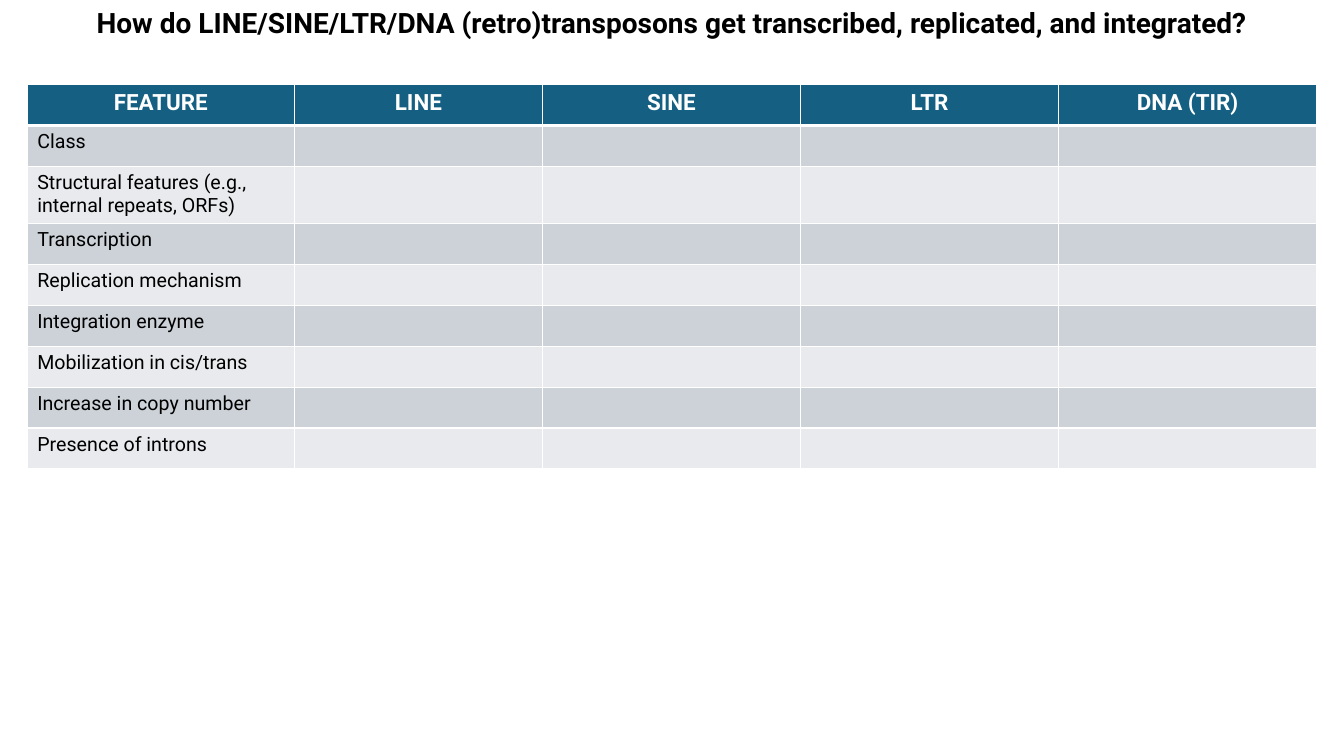
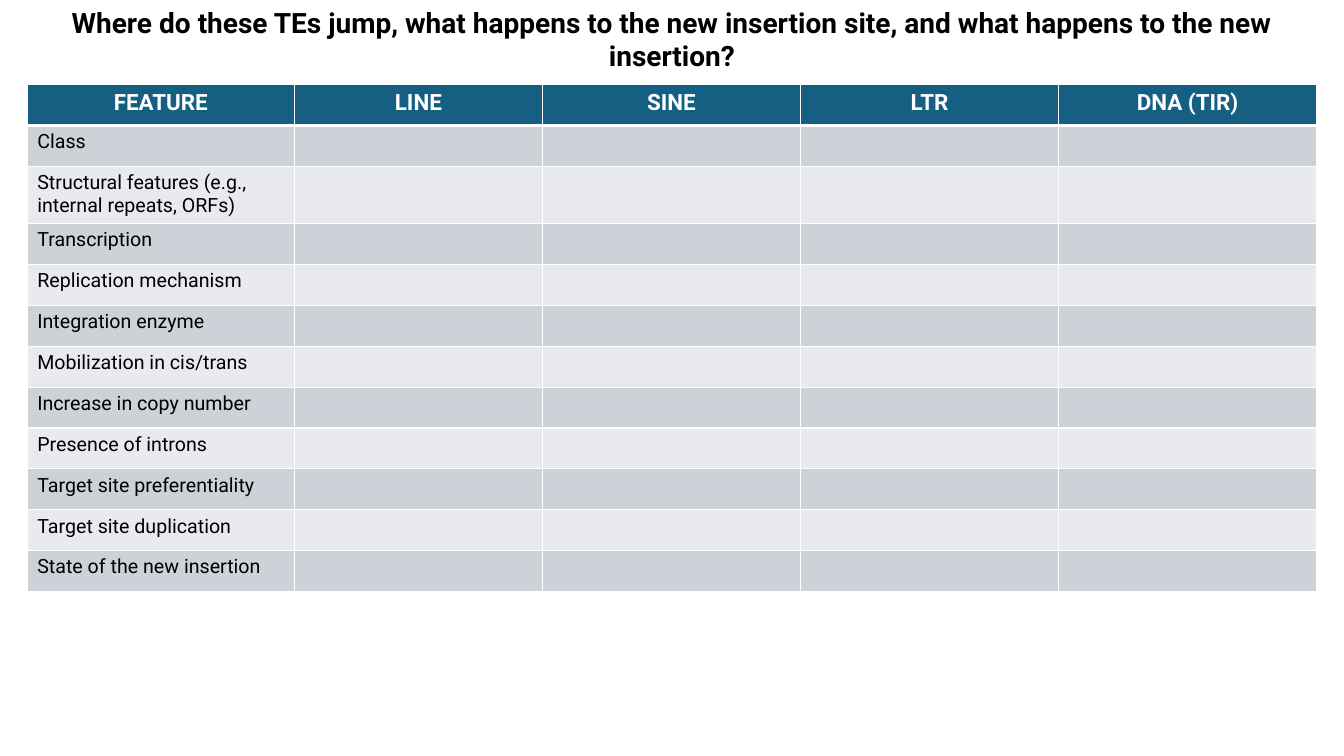
from dataclasses import dataclass

from lxml.etree import SubElement
from pptx import Presentation
from pptx.dml.color import RGBColor
from pptx.enum.text import MSO_ANCHOR, MSO_AUTO_SIZE, PP_ALIGN
from pptx.oxml.ns import qn
from pptx.slide import Slide
from pptx.table import _Cell
from pptx.text.text import TextFrame
from pptx.util import Inches, Pt

SLIDE_WIDTH, SLIDE_HEIGHT = Inches(13.33), Inches(7.5)
TITLE_ONLY_LAYOUT = 5
FONT = "Roboto"
BLACK, WHITE = "000000", "FFFFFF"
HEADER_FILL = "156082"
BAND_FILLS = ("CCD2D8", "E8EAED")

TABLE_LEFT, TABLE_TOP = Inches(0.27), Inches(0.84)
COLUMN_WIDTHS = [Inches(width) for width in (2.65, 2.46, 2.56, 2.56, 2.56)]
ROW_HEIGHT = Pt(29.2)
THIN, THICK = Pt(1), Pt(3)

HEADINGS = ("FEATURE", "LINE", "SINE", "LTR", "DNA (TIR)")
MECHANISM_FEATURES = (
    "Class",
    "Structural features (e.g., internal repeats, ORFs)",
    "Transcription",
    "Replication mechanism",
    "Integration enzyme",
    "Mobilization in cis/trans",
    "Increase in copy number",
    "Presence of introns",
)
INSERTION_FEATURES = (
    "Target site preferentiality",
    "Target site duplication",
    "State of the new insertion",
)


@dataclass(frozen=True)
class FeatureSlide:
    title: str
    title_height: float
    features: tuple[str, ...]


FEATURE_SLIDES = (
    FeatureSlide(
        "How do LINE/SINE/LTR/DNA (retro)transposons get transcribed, "
        "replicated, and integrated?",
        0.44,
        MECHANISM_FEATURES,
    ),
    FeatureSlide(
        "Where do these TEs jump, what happens to the new insertion site, "
        "and what happens to the new insertion?",
        0.77,
        MECHANISM_FEATURES + INSERTION_FEATURES,
    ),
)


def color(value: str) -> RGBColor:
    return RGBColor.from_string(value)


def write_text(frame: TextFrame, text: str, *, size: int, fill: str = BLACK,
               bold: bool = False, align: PP_ALIGN = PP_ALIGN.LEFT) -> None:
    paragraph = frame.paragraphs[0]
    paragraph.alignment = align
    paragraph.line_spacing = 1.0
    run = paragraph.add_run()
    run.text = text
    run.font.name = FONT
    run.font.size = Pt(size)
    run.font.bold = bold
    run.font.color.rgb = color(fill)


def style_cell(cell: _Cell, fill: str, top: int = THIN, bottom: int = THIN) -> None:
    """Give the cell white borders and a solid fill."""
    properties = cell._tc.get_or_add_tcPr()
    for side, width in (("L", THIN), ("R", THIN), ("T", top), ("B", bottom)):
        line = SubElement(properties, qn(f"a:ln{side}"), w=str(width))
        SubElement(SubElement(line, qn("a:solidFill")), qn("a:srgbClr"), val=WHITE)
    cell.fill.solid()
    cell.fill.fore_color.rgb = color(fill)


def add_title(slide: Slide, text: str, height: float) -> None:
    title = slide.shapes.title
    title.left, title.top = 0, 0
    title.width, title.height = SLIDE_WIDTH, Inches(height)
    frame = title.text_frame
    frame.word_wrap = True
    frame.auto_size = MSO_AUTO_SIZE.SHAPE_TO_FIT_TEXT
    frame.vertical_anchor = MSO_ANCHOR.TOP
    write_text(frame, text, size=20, bold=True, align=PP_ALIGN.CENTER)


def add_feature_table(slide: Slide, features: tuple[str, ...]) -> None:
    row_count = len(features) + 1
    table = slide.shapes.add_table(
        row_count, len(HEADINGS), TABLE_LEFT, TABLE_TOP,
        sum(COLUMN_WIDTHS), ROW_HEIGHT * row_count,
    ).table
    for column, width in zip(table.columns, COLUMN_WIDTHS):
        column.width = width
    for row in table.rows:
        row.height = ROW_HEIGHT

    for column, heading in enumerate(HEADINGS):
        cell = table.cell(0, column)
        style_cell(cell, HEADER_FILL, bottom=THICK)
        write_text(cell.text_frame, heading, size=16, fill=WHITE, bold=True,
                   align=PP_ALIGN.CENTER)

    for index, feature in enumerate(features):
        row = index + 1
        for column in range(len(HEADINGS)):
            style_cell(table.cell(row, column), BAND_FILLS[index % 2],
                       top=THICK if index == 0 else THIN)
        write_text(table.cell(row, 0).text_frame, feature, size=14)


def main() -> None:
    presentation = Presentation()
    presentation.slide_width, presentation.slide_height = SLIDE_WIDTH, SLIDE_HEIGHT
    layout = presentation.slide_layouts[TITLE_ONLY_LAYOUT]
    for content in FEATURE_SLIDES:
        slide = presentation.slides.add_slide(layout)
        add_title(slide, content.title, content.title_height)
        add_feature_table(slide, content.features)
    presentation.save("out.pptx")


if __name__ == "__main__":
    main()
